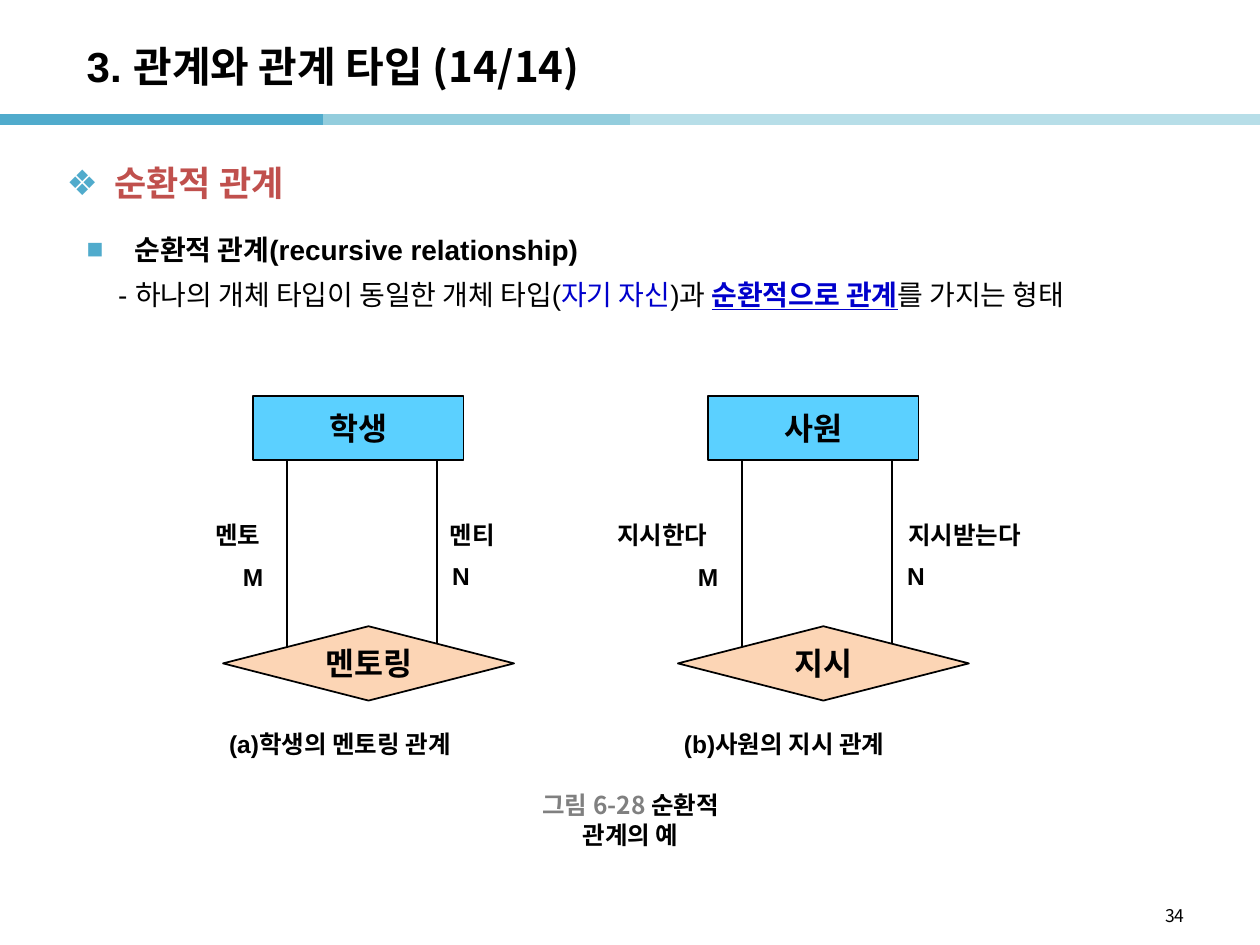
from lxml import etree
from pptx import Presentation
from pptx.dml.color import RGBColor
from pptx.enum.shapes import MSO_CONNECTOR, MSO_SHAPE
from pptx.enum.text import MSO_ANCHOR as ANCHOR, MSO_AUTO_SIZE as FIT, PP_ALIGN as ALIGN
from pptx.oxml.ns import qn
from pptx.util import Inches, Pt

LATIN, KOREAN = "Arial", "Noto Sans CJK KR"
BLACK, BLUE, TEAL = "000000", "0000CC", "50ABCC"


def rgb(value):
    return RGBColor.from_string(value)


def box(values):
    return [Inches(v) for v in values]


def add_run(p, text, color=BLACK, name=LATIN, **font):
    r = p.add_run()
    r.text = text
    for key, value in {"name": name, "bold": True, **font}.items():
        setattr(r.font, key, value)
    r.font.color.rgb = rgb(color)
    etree.SubElement(r.font._element, qn("a:ea"), typeface=KOREAN)


def add_bullet(p, char):
    """Hang the paragraph on a teal bullet."""
    pPr = p._p.get_or_add_pPr()
    pPr.set("marL", str(Inches(0.38)))
    pPr.set("indent", str(-Inches(0.38)))
    color = etree.SubElement(pPr, qn("a:buClr"))
    etree.SubElement(color, qn("a:srgbClr"), val=TEAL)
    etree.SubElement(pPr, qn("a:buFont"), typeface=LATIN)
    etree.SubElement(pPr, qn("a:buChar"), char=char)


def add_text(slide, at, runs, size, align=ALIGN.LEFT, **frame):
    """Add a text box with one paragraph of (text, format) runs."""
    tf = slide.shapes.add_textbox(*box(at)).text_frame
    for key, value in {"word_wrap": True, **frame}.items():
        setattr(tf, key, value)
    p = tf.paragraphs[0]
    p.alignment = align
    for text, font in runs:
        add_run(p, text, size=Pt(size), **font)
    return tf


def add_line(slide, start, end, color=BLACK, width=1):
    s = slide.shapes.add_connector(MSO_CONNECTOR.STRAIGHT, *box(start + end))
    s.line.color.rgb = rgb(color)
    s.line.width = Pt(width)
    etree.SubElement(s._element.spPr, qn("a:effectLst"))


def add_node(slide, kind, at, text, fill):
    s = slide.shapes.add_shape(kind, *box(at))
    s.shadow.inherit = False
    s.fill.solid()
    s.fill.fore_color.rgb = rgb(fill)
    s.line.color.rgb = rgb(BLACK)
    s.line.width = Pt(1)
    tf = s.text_frame
    tf.vertical_anchor = ANCHOR.MIDDLE
    tf.margin_left = tf.margin_right = Inches(0.04)
    p = tf.paragraphs[0]
    p.alignment = ALIGN.CENTER
    add_run(p, text, name=KOREAN, size=Pt(18))


def add_header(slide):
    for x, color in ((0, TEAL), (2.56, "93CDDD"), (5, "B7DEE8"), (7.46, "B7DEE8")):
        add_line(slide, (x, 0.95), (x + 2.56, 0.95), color, 6)
    add_text(slide, (0.59, 0.22, 8.27, 0.6),
             [("3. 관계와 관계 타입", {}), (" (14/14)", {"name": KOREAN})],
             24, vertical_anchor=ANCHOR.MIDDLE)


def add_body(slide):
    heading = add_text(slide, (0.43, 1.07, 8.82, 0.53),
                       [("순환적 관계", {"color": "C0504D"})], 20, ALIGN.JUSTIFY)
    body = add_text(slide, (0.59, 1.7, 9.13, 0.85),
                    [("순환적 관계(recursive relationship)", {})], 16,
                    auto_size=FIT.TEXT_TO_FIT_SHAPE)
    for tf, char in ((heading, "❖"), (body, "■")):
        tf.paragraphs[0].line_spacing = 1.5
        add_bullet(tf.paragraphs[0], char)
    p = body.add_paragraph()
    p.line_spacing = 1.5
    p._p.get_or_add_pPr().set("marL", str(Inches(0.25)))
    for text, font in (
        ("- 하나의 개체 타입이 동일한 개체 타입(", {"bold": False}),
        ("자기 자신", {"bold": False, "color": BLUE}),
        (")과 ", {"bold": False}),
        ("순환적으로 관계", {"color": BLUE, "underline": True}),
        ("를 가지는 형태", {"bold": False}),
    ):
        add_run(p, text, size=Pt(16), **font)


def add_diagram(slide, left, entity, relation, roles, caption):
    """Draw an entity tied twice to its relationship; roles are (x, text)."""
    for dx in (0.51, 1.7):
        add_line(slide, (left + dx, 3.65), (left + dx, 5.14))
    add_node(slide, MSO_SHAPE.RECTANGLE, (left + 0.24, 3.14, 1.67, 0.51), entity, "5BD0FF")
    add_node(slide, MSO_SHAPE.FLOWCHART_DECISION, (left, 4.97, 2.31, 0.59),
             relation, "FCD5B5")
    labels = [(x, 4.08, text) for x, text in roles]
    labels += [(left + 0.06, 4.41, "M"), (left + 1.72, 4.4, "N"),
               (left - 0.05, 5.74, caption)]
    for x, y, text in labels:
        width = 0.39 if len(text) == 1 else 0.2 + 0.2 * len(text)
        add_text(slide, (x, y, width, 0.34), [(text, {})], 14, word_wrap=False)


def main():
    prs = Presentation()
    prs.slide_width, prs.slide_height = Inches(10), Inches(7.5)
    slide = prs.slides.add_slide(prs.slide_layouts[6])
    add_header(slide)
    add_body(slide)
    add_diagram(slide, 1.77, "학생", "멘토링",
                ((1.61, "멘토"), (3.47, "멘티")), "(a)학생의 멘토링 관계")
    add_diagram(slide, 5.38, "사원", "지시",
                ((4.8, "지시한다"), (7.11, "지시받는다")), "(b)사원의 지시 관계")
    add_text(slide, (3.98, 6.35, 2.05, 0.31),
             [("그림 6-28 ", {"color": "808080", "name": KOREAN}),
              ("순환적 관계의 예", {"name": KOREAN})],
             14, ALIGN.CENTER, vertical_anchor=ANCHOR.MIDDLE, word_wrap=False)
    add_text(slide, (7.17, 7.13, 2.33, 0.28), [("34", {"name": KOREAN, "bold": False})],
             10, ALIGN.RIGHT)
    prs.save("out.pptx")


if __name__ == "__main__":
    main()
